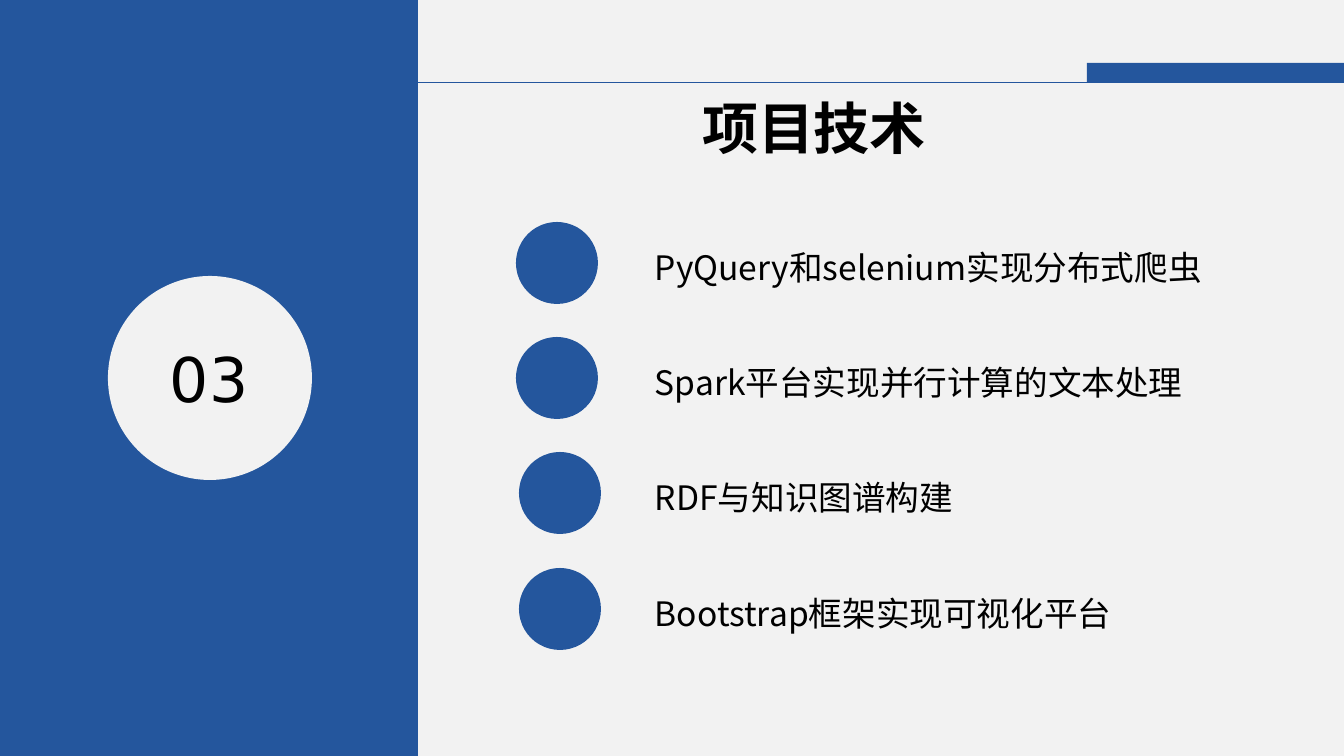
from lxml import etree
from pptx import Presentation
from pptx import util as u
from pptx.dml.color import RGBColor
from pptx.enum import shapes, text
from pptx.oxml.ns import qn

# Content
TITLE = "项目技术"
NUMBER = "03"
TECHNOLOGIES = [  # label, left edge of its dot
    ("PyQuery和selenium实现分布式爬虫", 516),
    ("Spark平台实现并行计算的文本处理", 516),
    ("RDF与知识图谱构建", 519),
    ("Bootstrap框架实现可视化平台", 519),
]

# Style and layout, lengths in px
BLUE = RGBColor(0x24, 0x56, 0x9D)
PALE = RGBColor(0xF2, 0xF2, 0xF2)
BLACK = RGBColor(0, 0, 0)
LATIN, CJK = "DejaVu Sans", "Noto Sans CJK SC"
WIDTH, HEIGHT = 1344, 756
PANEL_WIDTH = 418
RULE_Y = 83
BADGE = 204
DOT = 82
FIRST_DOT, LAST_DOT = 222, 568


def px(n):
    return u.Emu(round(n * 9071.43))


def box(*lengths):
    return [px(n) for n in lengths]


def add_solid(kind, color, *at):
    sp = s.shapes.add_shape(kind, *box(*at))
    sp.shadow.inherit = False
    sp.fill.solid()
    sp.fill.fore_color.rgb = color
    sp.line.fill.background()


def write(sp, words, size, font=LATIN, bold=False, wrap=False, spacing=None):
    tf = sp.text_frame
    tf.word_wrap = wrap
    tf.auto_size = text.MSO_AUTO_SIZE.NONE
    tf.vertical_anchor = text.MSO_ANCHOR.TOP
    p = tf.paragraphs[0]
    p.alignment = text.PP_ALIGN.LEFT
    p.line_spacing = spacing
    r = p.add_run()
    r.text = words
    r.font.name, r.font.size, r.font.bold = font, u.Pt(size), bold
    r.font.color.rgb = BLACK
    # East Asian typeface follows the latin one
    r.font._element.find(qn("a:latin")).addnext(
        etree.Element(qn("a:ea"), typeface=CJK))


prs = Presentation()
prs.slide_width, prs.slide_height = box(WIDTH, HEIGHT)
s = prs.slides.add_slide(prs.slide_layouts[5])
s.background.fill.solid()
s.background.fill.fore_color.rgb = PALE
RECT, OVAL = shapes.MSO_SHAPE.RECTANGLE, shapes.MSO_SHAPE.OVAL

# Header bar and rule
add_solid(RECT, BLUE, 1087, RULE_Y - 20, WIDTH - 1087, 20)
rule = s.shapes.add_connector(shapes.MSO_CONNECTOR.STRAIGHT,
                              *box(0, RULE_Y, WIDTH, RULE_Y))
rule.line.color.rgb = BLUE
rule.line.width = u.Pt(0.75)
etree.SubElement(rule._element.spPr, qn("a:effectLst"))

# Left panel with the section number
add_solid(RECT, BLUE, 0, 0, PANEL_WIDTH, HEIGHT)
add_solid(OVAL, PALE, (PANEL_WIDTH - BADGE) // 2 + 1, (HEIGHT - BADGE) // 2,
          BADGE, BADGE)
write(s.shapes.add_textbox(*box(160, 336, 98, 84)), NUMBER, 44)

# Title
title = s.shapes.title
title.left, title.top, title.width, title.height = box(692, 88, 370, 77)
write(title, TITLE, 40, bold=True)

# Technologies, evenly spaced
for i, (label, left) in enumerate(TECHNOLOGIES):
    top = FIRST_DOT + (LAST_DOT - FIRST_DOT) * i // (len(TECHNOLOGIES) - 1)
    add_solid(OVAL, BLUE, left, top, DOT, DOT)
    write(s.shapes.add_textbox(*box(645, top + 10, 654, 50)), label, 24,
          font=CJK, wrap=True, spacing=1.25)

prs.save("out.pptx")
